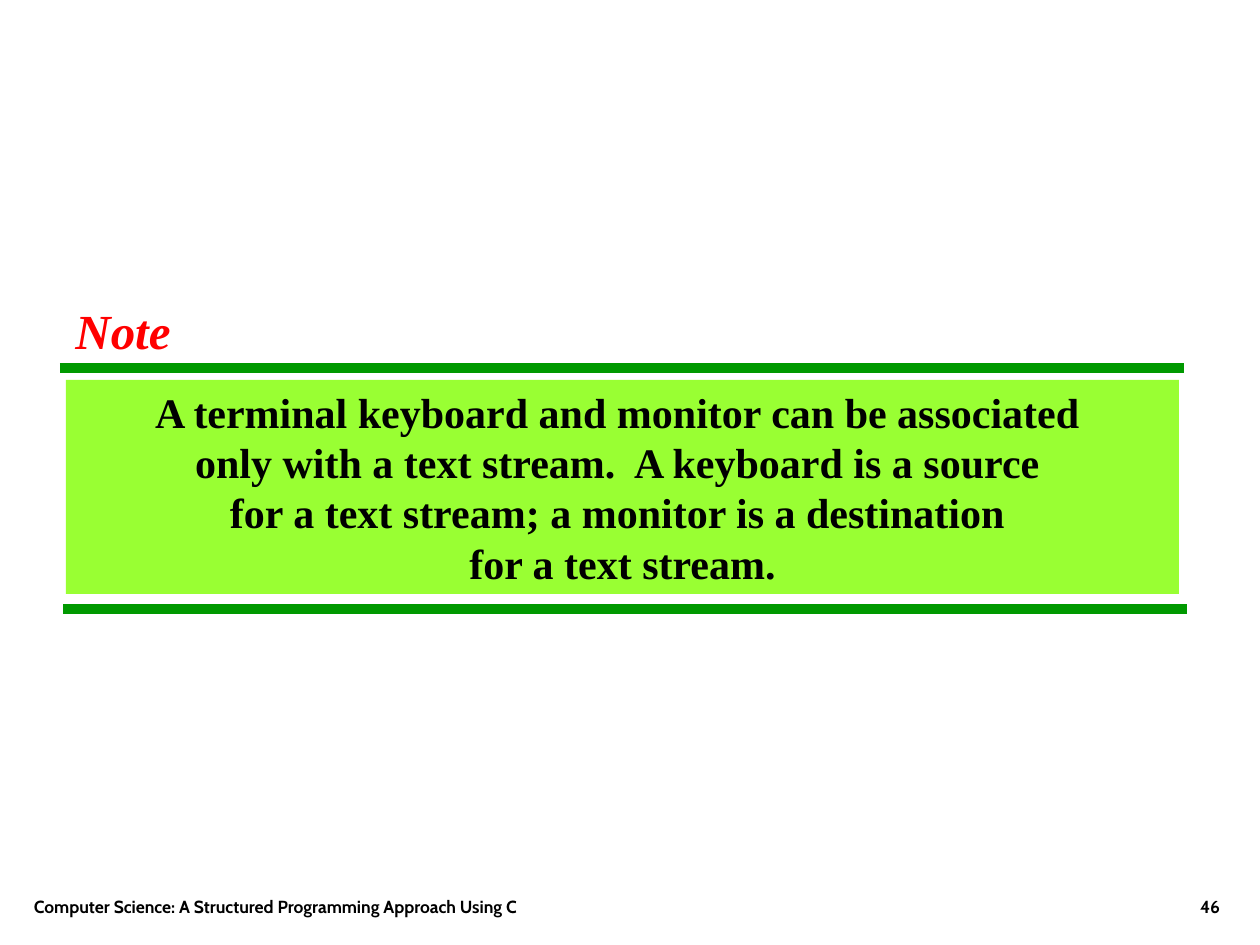
from dataclasses import dataclass

from pptx import Presentation
from pptx.dml.color import RGBColor
from pptx.enum.shapes import MSO_CONNECTOR as Connector, MSO_SHAPE as Shape
from pptx.enum.text import MSO_ANCHOR as Anchor, PP_ALIGN as Align
from pptx.oxml import parse_xml
from pptx.oxml.ns import nsdecls
from pptx.slide import Slide
from pptx.text.text import TextFrame
from pptx.util import Pt

PX = 914400 / 126


def px(length: int) -> int:
    return round(length * PX)


@dataclass(frozen=True)
class Theme:
    rule: RGBColor = RGBColor(0x00, 0x99, 0x00)
    panel: RGBColor = RGBColor(0x99, 0xFF, 0x33)
    heading: RGBColor = RGBColor(0xFF, 0x00, 0x00)
    ink: RGBColor = RGBColor(0x00, 0x00, 0x00)
    serif: str = "Times New Roman"
    sans: str = "Cabin"
    heading_size: Pt = Pt(28)
    body_size: Pt = Pt(24)
    footer_size: Pt = Pt(10)
    rule_width: Pt = Pt(6)


THEME = Theme()


@dataclass(frozen=True)
class Box:
    left: int
    top: int
    width: int
    height: int

    def emu(self) -> tuple[int, ...]:
        return tuple(map(px, (self.left, self.top, self.width, self.height)))


@dataclass(frozen=True)
class TextStyle:
    face: str
    size: Pt
    color: RGBColor
    align: Align
    anchor: Anchor
    italic: bool = False
    side_margin: int = 13


@dataclass(frozen=True)
class Rule:
    left: int
    y: int
    width: int = 1124


@dataclass(frozen=True)
class FooterPart:
    text: str
    box: Box
    align: Align


HEADING = TextStyle(THEME.serif, THEME.heading_size, THEME.heading,
                    Align.CENTER, Anchor.TOP, italic=True, side_margin=0)
STATEMENT = TextStyle(THEME.serif, THEME.body_size, THEME.ink,
                      Align.CENTER, Anchor.TOP)

RULES = (Rule(60, 368), Rule(63, 609))
STATEMENT_TEXT = (
    "A terminal keyboard and monitor can be associated \v"
    "only with a text stream.  A keyboard is a source \n"
    "for a text stream; a monitor is a destination \n"
    "for a text stream."
)
FOOTER = (
    FooterPart("Computer Science: A Structured Programming Approach Using C",
               Box(21, 860, 714, 63), Align.LEFT),
    FooterPart("46", Box(971, 860, 262, 63), Align.RIGHT),
)


def write(frame: TextFrame, text: str, style: TextStyle) -> None:
    frame.text = text
    frame_format = {"word_wrap": True, "vertical_anchor": style.anchor,
                    "margin_left": px(style.side_margin),
                    "margin_right": px(style.side_margin)}
    for attribute, value in frame_format.items():
        setattr(frame, attribute, value)
    font_format = {"name": style.face, "size": style.size,
                   "bold": True, "italic": style.italic}
    for paragraph in frame.paragraphs:
        paragraph.alignment = style.align
        for run in paragraph.runs:
            for attribute, value in font_format.items():
                setattr(run.font, attribute, value)
            run.font.color.rgb = style.color


def draw_heading(slide: Slide, text: str, box: Box) -> None:
    heading = slide.shapes.title
    for side, value in zip(("left", "top", "width", "height"), box.emu()):
        setattr(heading, side, value)
    write(heading.text_frame, text, HEADING)


def draw_rule(slide: Slide, rule: Rule) -> None:
    y = px(rule.y)
    line = slide.shapes.add_connector(
        Connector.STRAIGHT, px(rule.left), y, px(rule.left + rule.width), y)
    line.line.color.rgb = THEME.rule
    line.line.width = THEME.rule_width
    line._element.spPr.append(parse_xml(f"<a:effectLst {nsdecls('a')}/>"))


def draw_statement(slide: Slide, text: str, box: Box) -> None:
    panel = slide.shapes.add_shape(Shape.RECTANGLE, *box.emu())
    panel.shadow.inherit = False
    panel.fill.solid()
    panel.fill.fore_color.rgb = THEME.panel
    panel.line.fill.background()
    write(panel.text_frame, text, STATEMENT)


def draw_footer(slide: Slide, part: FooterPart) -> None:
    footer = slide.shapes.add_textbox(*part.box.emu())
    write(footer.text_frame, part.text,
          TextStyle(THEME.sans, THEME.footer_size, THEME.ink,
                    part.align, Anchor.BOTTOM))


def main() -> None:
    deck = Presentation()
    deck.slide_width, deck.slide_height = px(1260), px(945)
    slide = deck.slides.add_slide(deck.slide_layouts.get_by_name("Title Only"))
    draw_statement(slide, STATEMENT_TEXT, Box(66, 380, 1113, 214))
    draw_heading(slide, "Note", Box(63, 294, 120, 72))
    for rule in RULES:
        draw_rule(slide, rule)
    for part in FOOTER:
        draw_footer(slide, part)
    deck.save("out.pptx")


if __name__ == "__main__":
    main()
